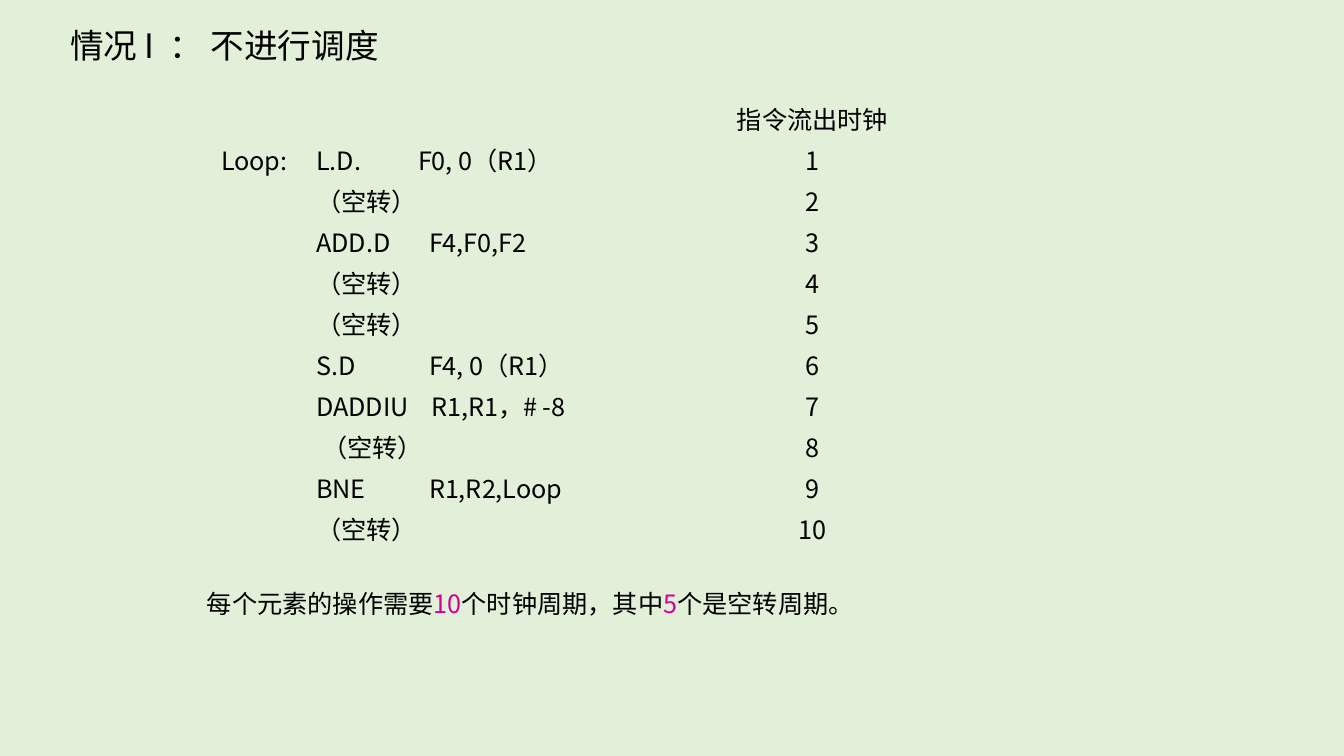
from dataclasses import dataclass

from lxml import etree
from pptx import Presentation, util as u
from pptx.dml.color import RGBColor
from pptx.enum import text as t
from pptx.oxml.ns import qn

EMU_PER_PX = 12192000 / 1344


@dataclass(frozen=True)
class Theme:
    font: str = "Noto Sans CJK SC"
    background: str = "E2F0D9"
    ink: str = "000000"
    accent: str = "D60093"
    title_size: int = 24
    body_size: int = 18


THEME = Theme()
PLAIN_TABLE = "{2D5ABB26-0587-4C30-8999-92F81FD0307C}"
STALL = "（空转）"
INSTRUCTIONS = [
    ("Loop:", "L.D.\tF0, 0（R1）", 102, 0),
    ("", STALL, 0, 0),
    ("", "ADD.D\tF4,F0,F2", 113, 0),
    ("", STALL, 0, 0),
    ("", STALL, 0, 0),
    ("", "S.D\tF4, 0（R1）", 113, 0),
    ("", "DADDIU\tR1,R1，# -8", 115, 0),
    ("", STALL, 0, 6),
    ("", "BNE\tR1,R2,Loop", 113, 0),
    ("", STALL, 0, 0),
]


def px(length):
    return u.Emu(round(length * EMU_PER_PX))


def write(para, words, size=THEME.body_size, color=THEME.ink, align=t.PP_ALIGN.LEFT):
    para.alignment = align
    span = para.add_run()
    span.text = words
    span.font.size = u.Pt(size)
    span.font.name = THEME.font
    span.font.color.rgb = RGBColor.from_string(color)
    etree.SubElement(span.font._element, qn("a:ea"), typeface=THEME.font)


def set_indent(para, tab, indent):
    properties = para._p.get_or_add_pPr()
    if indent:
        properties.set("marL", str(px(indent)))
    if tab:
        stops = etree.SubElement(properties, qn("a:tabLst"))
        etree.SubElement(stops, qn("a:tab"), pos=str(px(tab)), algn="l")


def add_title(page, left, top, width, height):
    title = page.shapes.title
    title.left, title.top, title.width, title.height = map(px, (left, top, width, height))
    frame = title.text_frame
    frame.auto_size = t.MSO_AUTO_SIZE.NONE
    frame.vertical_anchor = t.MSO_ANCHOR.TOP
    para = frame.paragraphs[0]
    para.line_spacing = 1.5
    write(para, "情况 I  ： 不进行调度", size=THEME.title_size)


def add_schedule(page, left, top, width, height):
    row_count = len(INSTRUCTIONS) + 1
    graphic = page.shapes.add_table(row_count, 3, *map(px, (left, top, width, height)))
    table = graphic.table
    table.first_row = table.horz_banding = False
    table._tbl.tblPr.find(qn("a:tableStyleId")).text = PLAIN_TABLE
    label_width, clock_width = 95, 183
    column_widths = (label_width, width - label_width - clock_width, clock_width)
    for column, column_width in zip(table.columns, column_widths):
        column.width = px(column_width)
    row_height = 41
    for row in table.rows:
        row.height = px(row_height)
    table.rows[0].height = px(height - row_height * len(INSTRUCTIONS))
    for cell in table.iter_cells():
        cell.fill.background()
        cell.margin_top = cell.margin_bottom = 0
        cell.vertical_anchor = t.MSO_ANCHOR.BOTTOM
        cell.text_frame.paragraphs[0].font.size = u.Pt(THEME.body_size)

    def fill_cell(row, column, words, tab=0, indent=0, **style):
        if words:
            para = table.cell(row, column).text_frame.paragraphs[0]
            set_indent(para, tab, indent)
            write(para, words, **style)

    fill_cell(0, 2, "指令流出时钟", align=t.PP_ALIGN.CENTER)
    for clock, (label, code, tab, indent) in enumerate(INSTRUCTIONS, 1):
        fill_cell(clock, 0, label)
        fill_cell(clock, 1, code, tab, indent)
        fill_cell(clock, 2, str(clock), align=t.PP_ALIGN.CENTER)


def add_summary(page, left, top, width, height):
    box = page.shapes.add_textbox(*map(px, (left, top, width, height)))
    box.text_frame.word_wrap = False
    para = box.text_frame.paragraphs[0]
    pieces = ("每个元素的操作需要", "10", "个时钟周期，其中", "5", "个是空转周期。")
    for piece in pieces:
        write(para, piece, color=THEME.accent if piece.isdigit() else THEME.ink)


def main():
    deck = Presentation()
    deck.slide_width, deck.slide_height = px(1344), px(756)
    page = deck.slides.add_slide(deck.slide_layouts[5])
    page.background.fill.solid()
    page.background.fill.fore_color.rgb = RGBColor.from_string(THEME.background)
    add_title(page, 60, 0, 1013, 72)
    add_schedule(page, 211, 98, 693, 449)
    add_summary(page, 197, 583, 669, 40)
    deck.save("out.pptx")


if __name__ == "__main__":
    main()
